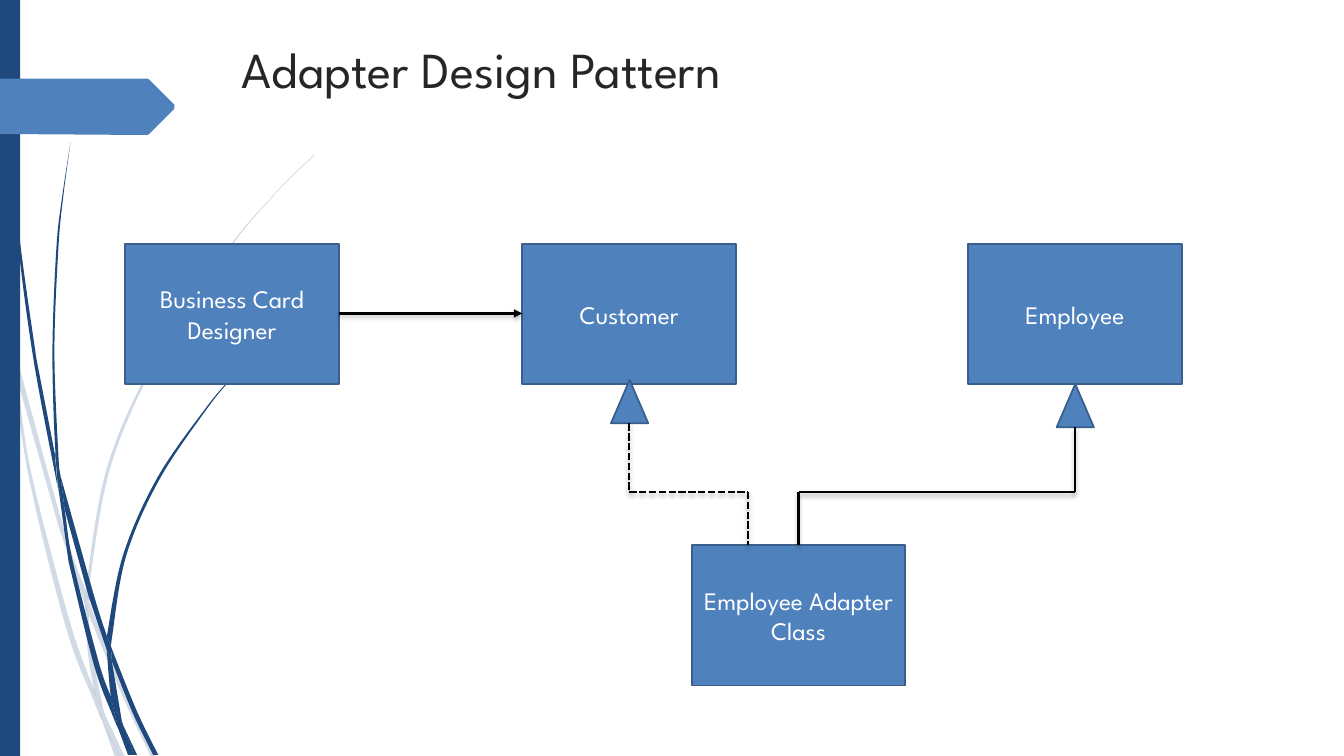
from lxml import etree
from pptx import Presentation
from pptx.dml.color import RGBColor
from pptx.enum.dml import MSO_LINE_DASH_STYLE as DASH
from pptx.enum.shapes import MSO_CONNECTOR_TYPE as CONN, MSO_SHAPE as SHAPE
from pptx.enum.text import MSO_ANCHOR as ANCHOR, MSO_AUTO_SIZE as AUTOSIZE, PP_ALIGN as ALIGN
from pptx.oxml.ns import qn
from pptx.util import Pt

PX = 9144  # 100 px to the inch
FONT = "League Spartan"
NAVY, BLUE, EDGE = "1F497D", "4F81BD", "3A5F8C"
BOX_W, BOX_H = 212, 139
ARROW_W, ARROW_H = 37, 43
ELBOW_Y = 488

# Each blade of grass: one edge, then the other edge back
FAINT_BLADES = [
    ([(11, 350), (9, 322), (0, 282)], [(0, 299), (10, 344), (11, 350)]),
    ([(58, 522), (84, 599)], [(85, 586), (62, 520), (14, 345)], [(17, 376), (58, 522)]),
    ([(92, 607), (88, 596)], [(88, 610), (123, 694), (150, 751)], [(155, 751), (127, 692), (92, 607)]),
    ([(119, 751), (124, 751)], [(105, 711), (119, 751)]),
    ([(93, 683), (70, 619), (31, 469), (17, 376), (11, 350)],
     [(11, 350), (28, 470), (65, 621), (92, 693), (101, 714)], [(99, 707), (93, 683)]),
    ([(84, 599), (87, 646), (93, 683), (96, 692), (105, 711)],
     [(103, 706), (91, 646), (88, 610)], [(88, 608), (84, 599)]),
    ([(88, 584), (110, 462), (160, 349), (229, 245), (268, 198), (290, 175), (312, 154)],
     [(312, 153), (289, 175), (268, 197), (228, 244), (158, 348), (107, 461), (85, 584)],
     [(85, 586), (88, 596), (88, 584)]),
    ([(101, 714), (114, 751)], [(119, 751), (101, 714)]),
    ([(88, 608), (88, 610), (88, 596)], [(85, 586), (84, 599), (88, 608)]),
    ([(96, 692), (93, 683)], [(99, 707), (101, 714), (119, 751)], [(105, 711), (96, 692)]),
]
DARK_BLADES = [
    ([(7, 110), (17, 233), (33, 355), (56, 477), (57, 481)], [(55, 457), (55, 453)],
     [(36, 355), (19, 232), (8, 109), (5, 48), (4, 0)], [(3, 0), (4, 48), (7, 110)]),
    ([(88, 592), (106, 645)], [(106, 633), (106, 631), (93, 590), (60, 472)], [(64, 505), (88, 592)]),
    ([(113, 649), (110, 641)], [(111, 656), (132, 708), (152, 749)], [(157, 749), (136, 706), (113, 649)]),
    ([(110, 691), (98, 657), (72, 556), (64, 505), (57, 477)],
     [(68, 557), (93, 659), (111, 708), (117, 722)], [(116, 717), (110, 691)]),
    ([(60, 472), (58, 453), (54, 349), (58, 245), (63, 193), (70, 141)],
     [(70, 141), (62, 193), (56, 245), (52, 349), (55, 449), (60, 472)]),
    ([(133, 749), (136, 749)], [(122, 719), (133, 749)]),
    ([(57, 477), (64, 505)], [(60, 472), (55, 449)], [(55, 453), (57, 477)]),
    ([(111, 633), (125, 552), (158, 476), (205, 406), (231, 374), (245, 359), (261, 344)],
     [(260, 344), (245, 358), (231, 373), (204, 405), (156, 474), (122, 551), (106, 631)],
     [(110, 641), (111, 633)]),
    ([(117, 722), (127, 749)], [(131, 749), (117, 722)]),
    ([(106, 645), (110, 691), (116, 706), (122, 719)], [(121, 716), (111, 656)], [(109, 651), (106, 645)]),
    ([(106, 645), (109, 651), (111, 656)], [(110, 641), (106, 631)], [(106, 633), (106, 645)]),
    ([(116, 706), (110, 691)], [(116, 717), (117, 722), (130, 749)], [(133, 749), (122, 719), (116, 706)]),
]
TAG = [(0, 78), (146, 78), (148, 79), (173, 104), (173, 108), (148, 133), (146, 134), (0, 133)]


def rgb(color):
    return RGBColor.from_string(color)


def paint(sp, fill, line=None, alpha=None):
    sp.shadow.inherit = False
    sp.fill.solid()
    sp.fill.fore_color.rgb = rgb(fill)
    if alpha:
        clr = sp._element.spPr.find(".//" + qn("a:srgbClr"))
        etree.SubElement(clr, qn("a:alpha"), val=str(alpha * 1000))
    if line:
        sp.line.color.rgb = rgb(line)
        sp.line.width = Pt(1.25)
    else:
        sp.line.fill.background()


def write(tf, text, size=18, color="FFFFFF", align=ALIGN.CENTER, anchor=ANCHOR.MIDDLE):
    tf.word_wrap = True
    tf.auto_size = AUTOSIZE.NONE
    tf.vertical_anchor = anchor
    p = tf.paragraphs[0]
    p.alignment = align
    r = p.add_run()
    r.text = text
    r.font.name, r.font.size = FONT, Pt(size)
    r.font.color.rgb = rgb(color)


def add_shape(s, kind, x, y, w, h, fill, line=None):
    sp = s.shapes.add_shape(kind, x * PX, y * PX, w * PX, h * PX)
    paint(sp, fill, line)
    return sp


def add_box(s, x, y, text):
    write(add_shape(s, SHAPE.RECTANGLE, x, y, BOX_W, BOX_H, BLUE, EDGE).text_frame, text)


def add_outline(parent, points):
    start, *rest = [(round(x * PX), round(y * PX)) for x, y in points]
    fb = parent.shapes.build_freeform(*start)
    fb.add_line_segments(rest, close=True)
    return fb.convert_to_shape()


def curve_points(edge):
    """Two control points and an end point for each step along a smooth edge."""
    pts = [edge[0], *edge, edge[-1]]
    for a, b, c, d in zip(pts, pts[1:], pts[2:], pts[3:]):
        yield tuple(q + (r - p) / 6 for p, q, r in zip(a, b, c))
        yield tuple(r - (u - q) / 6 for q, r, u in zip(b, c, d))
        yield c


def add_blade(group, edges, alpha=None):
    points = [edges[0][0]]
    for edge in edges:
        if edge[0] != points[-1]:
            points += curve_points([points[-1], edge[0]])
        points += curve_points(edge)
    sp = add_outline(group, points)
    # Turn every three line steps into one Bézier curve
    lines = list(sp._element.iter(qn("a:lnTo")))
    for first, second, third in zip(lines[::3], lines[1::3], lines[2::3]):
        curve = etree.Element(qn("a:cubicBezTo"))
        first.addprevious(curve)
        for line in (first, second, third):
            curve.append(line[0])
            line.getparent().remove(line)
    paint(sp, NAVY, alpha=alpha)


def add_line(s, start, end, dash=None, arrow=False):
    x1, y1, x2, y2 = (v * PX for v in (*start, *end))
    cn = s.shapes.add_connector(CONN.STRAIGHT, x1, y1, x2, y2)
    cn.line.color.rgb = rgb("000000")
    cn.line.width = Pt(1.75)
    if dash:
        cn.line.dash_style = dash
    if arrow:
        ln = cn._element.spPr.find(qn("a:ln"))
        etree.SubElement(ln, qn("a:tailEnd"), type="triangle")
    # Soft shadow just below the line
    effects = etree.SubElement(cn._element.spPr, qn("a:effectLst"))
    shadow = etree.SubElement(effects, qn("a:outerShdw"), blurRad=str(Pt(3)),
                              dist=str(Pt(2)), dir="5400000", rotWithShape="0")
    clr = etree.SubElement(shadow, qn("a:srgbClr"), val="000000")
    etree.SubElement(clr, qn("a:alpha"), val="25000")


def add_inheritance(s, x, y, foot_x, dash=None):
    """Triangle with its tip at x, y and an elbow line down to the adapter."""
    add_shape(s, SHAPE.FLOWCHART_EXTRACT, x - ARROW_W // 2, y, ARROW_W, ARROW_H, BLUE, EDGE)
    route = [(x, y + ARROW_H), (x, ELBOW_Y), (foot_x, ELBOW_Y), (foot_x, 541)]
    for start, end in zip(route, route[1:]):
        add_line(s, start, end, dash)


def add_title(s, text):
    title = s.shapes.title
    title.left, title.top, title.width, title.height = (v * PX for v in (230, 33, 975, 96))
    write(title.text_frame, text, size=36, color="262626", align=ALIGN.LEFT, anchor=ANCHOR.TOP)


def main():
    prs = Presentation()
    prs.slide_width, prs.slide_height = 1333 * PX, 750 * PX
    s = prs.slides.add_slide(prs.slide_layouts[5])

    # Side decoration
    for blades, alpha in [(FAINT_BLADES, 20), (DARK_BLADES, None)]:
        group = s.shapes.add_group_shape()
        for edges in blades:
            add_blade(group, edges, alpha)
    add_shape(s, SHAPE.RECTANGLE, 0, 0, 20, 750, NAVY)
    paint(add_outline(s, TAG), BLUE)

    add_title(s, "Adapter Design Pattern")

    # Classes
    for x, y, name in [(124, 242, "Business Card Designer"), (518, 242, "Customer"),
                       (960, 242, "Employee"), (686, 541, "Employee Adapter Class")]:
        add_box(s, x, y, name)

    # Relations
    add_inheritance(s, 1066, 381, 792)
    add_inheritance(s, 624, 377, 742, DASH.SQUARE_DOT)
    add_line(s, (336, 311), (518, 311), arrow=True)

    prs.save("out.pptx")


if __name__ == "__main__":
    main()
